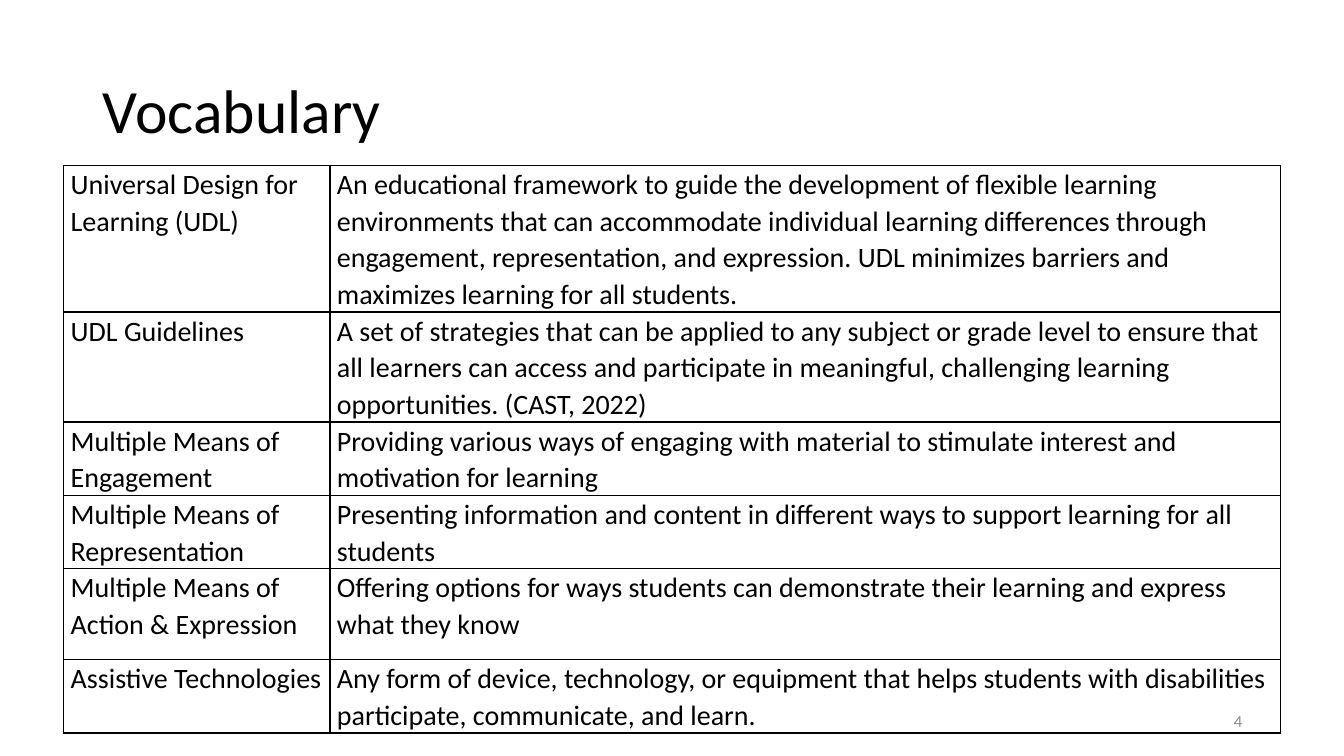
from dataclasses import dataclass
from typing import Any

from lxml.etree import SubElement
from pptx import Presentation
from pptx.dml.color import RGBColor
from pptx.enum.text import MSO_ANCHOR, MSO_AUTO_SIZE, PP_ALIGN
from pptx.oxml.ns import qn
from pptx.util import Emu, Inches, Pt

BLACK = RGBColor(0x00, 0x00, 0x00)
GREY = RGBColor(0x8C, 0x8C, 0x8C)
FONT = "Calibri"
SLIDE_WIDTH, SLIDE_HEIGHT = Inches(13.333), Inches(7.5)


@dataclass(frozen=True)
class Area:
    """A rectangle in percent of the slide's width and height."""

    left: float
    top: float
    width: float
    height: float

    def lengths(self) -> tuple[Emu, Emu, Emu, Emu]:
        """Return left, top, width and height as lengths."""
        return across(self.left), down(self.top), across(self.width), down(self.height)


@dataclass(frozen=True)
class Entry:
    """A vocabulary term, its meaning and its row height in percent."""

    term: str
    meaning: str
    height: float


TITLE_AREA = Area(6.9, 5.33, 86.25, 19.33)
NUMBER_AREA = Area(70.67, 92.67, 22.5, 5.33)
TABLE_LEFT, TABLE_TOP = 4.74, 21.87
COLUMN_WIDTHS = (19.81, 70.74)
CELL_MARGIN = 0.52
TALL_ROW, SHORT_ROW = 12, 9.2

ENTRIES = (
    Entry(
        "Universal Design for Learning (UDL)",
        "An educational framework to guide the development of flexible learning "
        "environments that can accommodate individual learning differences through "
        "engagement, representation, and expression. UDL minimizes barriers and "
        "maximizes learning for all students.",
        TALL_ROW,
    ),
    Entry(
        "UDL Guidelines",
        "A set of strategies that can be applied to any subject or grade level to "
        "ensure that all learners can access and participate in meaningful, "
        "challenging learning opportunities. (CAST, 2022)",
        TALL_ROW,
    ),
    Entry(
        "Multiple Means of Engagement",
        "Providing various ways of engaging with material to stimulate interest and "
        "motivation for learning",
        SHORT_ROW,
    ),
    Entry(
        "Multiple Means of Representation",
        "Presenting information and content in different ways to support learning "
        "for all students",
        SHORT_ROW,
    ),
    Entry(
        "Multiple Means of Action & Expression",
        "Offering options for ways students can demonstrate their learning and "
        "express what they know",
        TALL_ROW,
    ),
    Entry(
        "Assistive Technologies",
        "Any form of device, technology, or equipment that helps students with "
        "disabilities participate, communicate, and learn.",
        SHORT_ROW,
    ),
)


def across(percent: float) -> Emu:
    """Turn a percentage of the slide's width into a length."""
    return Emu(round(SLIDE_WIDTH * percent / 100))


def down(percent: float) -> Emu:
    """Turn a percentage of the slide's height into a length."""
    return Emu(round(SLIDE_HEIGHT * percent / 100))


def apply(target: Any, values: dict[str, Any]) -> None:
    """Set each named attribute on the target."""
    for name, value in values.items():
        setattr(target, name, value)


def write(frame: Any, text: str, size: float, color: RGBColor, layout: dict[str, Any]) -> None:
    """Write one formatted paragraph into a text frame."""
    paragraph = frame.paragraphs[0]
    apply(paragraph, layout)
    run = paragraph.add_run()
    run.text = text
    apply(run.font, {"name": FONT, "size": Pt(size)})
    run.font.color.rgb = color


def add_borders(cell: Any) -> None:
    """Draw a thin black line on every side of a cell."""
    properties = cell._tc.get_or_add_tcPr()
    for position, side in enumerate(("lnL", "lnR", "lnT", "lnB")):
        line = properties.makeelement(qn(f"a:{side}"), {"w": str(Pt(1))})
        fill = SubElement(line, qn("a:solidFill"))
        SubElement(fill, qn("a:srgbClr"), val=str(BLACK))
        properties.insert(position, line)


def fill_cell(cell: Any, text: str) -> None:
    """Format a table cell and write its text."""
    margin = across(CELL_MARGIN)
    apply(cell, {
        "margin_left": margin,
        "margin_right": margin,
        "margin_top": 0,
        "margin_bottom": 0,
        "vertical_anchor": MSO_ANCHOR.TOP,
    })
    cell.fill.background()
    add_borders(cell)
    write(cell.text_frame, text, 20, BLACK, {"line_spacing": 1.07, "space_after": Pt(6)})


def add_title(slide: Any) -> None:
    """Place and format the slide's title."""
    title = slide.shapes.title
    apply(title, dict(zip(("left", "top", "width", "height"), TITLE_AREA.lengths())))
    apply(title.text_frame, {
        "vertical_anchor": MSO_ANCHOR.MIDDLE,
        "auto_size": MSO_AUTO_SIZE.NONE,
        "word_wrap": True,
    })
    write(title.text_frame, "Vocabulary", 44, BLACK,
          {"alignment": PP_ALIGN.LEFT, "line_spacing": 0.9})


def add_vocabulary(slide: Any) -> None:
    """Add the table of terms and meanings."""
    area = Area(TABLE_LEFT, TABLE_TOP, sum(COLUMN_WIDTHS), sum(entry.height for entry in ENTRIES))
    table = slide.shapes.add_table(len(ENTRIES), len(COLUMN_WIDTHS), *area.lengths()).table
    apply(table, {"first_row": False, "horz_banding": False})
    for column, width in zip(table.columns, COLUMN_WIDTHS):
        column.width = across(width)
    for row, entry in zip(table.rows, ENTRIES):
        row.height = down(entry.height)
        for cell, text in zip(row.cells, (entry.term, entry.meaning)):
            fill_cell(cell, text)


def add_slide_number(slide: Any) -> None:
    """Add the slide number at the lower right."""
    frame = slide.shapes.add_textbox(*NUMBER_AREA.lengths()).text_frame
    apply(frame, {"word_wrap": True, "vertical_anchor": MSO_ANCHOR.MIDDLE})
    write(frame, "4", 12, GREY, {"alignment": PP_ALIGN.RIGHT})


def main() -> None:
    """Build and save the vocabulary slide."""
    presentation = Presentation()
    apply(presentation, {"slide_width": SLIDE_WIDTH, "slide_height": SLIDE_HEIGHT})
    slide = presentation.slides.add_slide(presentation.slide_layouts.get_by_name("Title Only"))
    add_title(slide)
    add_vocabulary(slide)
    add_slide_number(slide)
    presentation.save("out.pptx")


if __name__ == "__main__":
    main()
